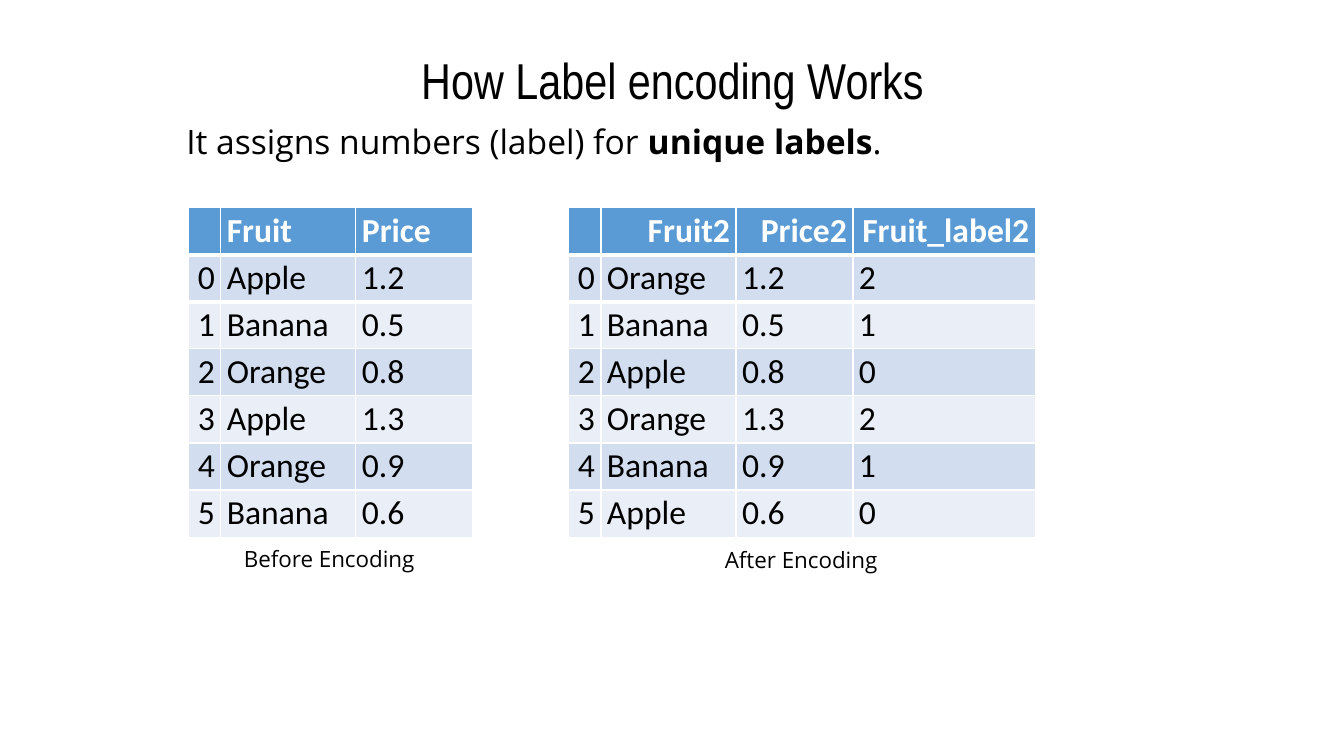
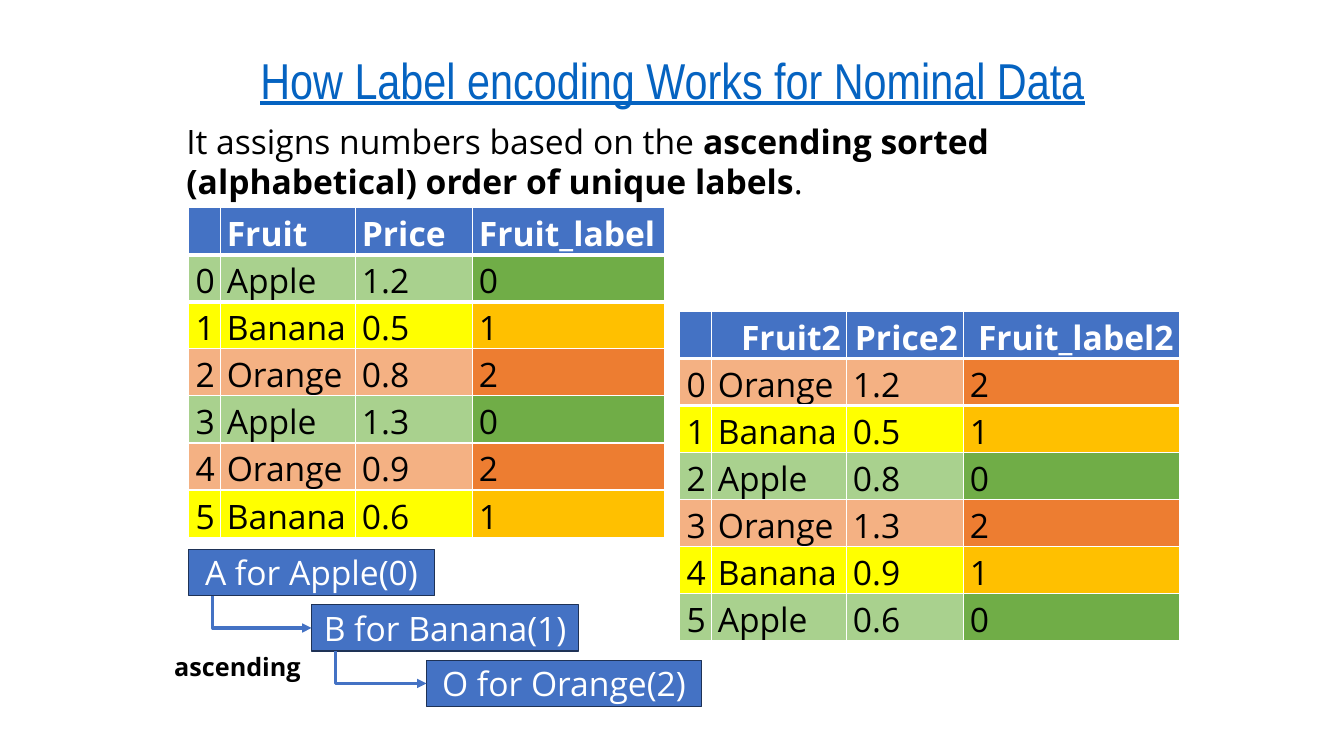
from lxml.etree import Element, SubElement
from pptx import Presentation
from pptx.dml.color import RGBColor
from pptx.enum.shapes import MSO_CONNECTOR as CONN, MSO_SHAPE as SHAPE
from pptx.enum.text import MSO_ANCHOR as ANCHOR, MSO_AUTO_SIZE as AUTO, PP_ALIGN as ALIGN
from pptx.oxml.ns import qn
from pptx.util import Inches, Pt

BLACK, WHITE, BLUE, NAVY = "000000", "FFFFFF", "4472C4", "1E3256"
SKY, LINK = "5B9BD5", "0563C1"
BANDS = ["D2DEEF", "EAEFF7"]
FRUIT_FILLS = {
    "Apple": ("A9D18E", "70AD47"),
    "Banana": ("FFFF00", "FFC000"),
    "Orange": ("F4B183", "ED7D31"),
}
BODY, HEAD, GRID = "Open Sans", "Arial Narrow", "Calibri"
LEFT, WIDTH = 1.75, 9.84
TABLE_LEFT, TABLE_TOP, TABLE_HEIGHT = 1.87, 2.06, 3.27
COLS = [0.32, 1.34, 1.16]
PRICES = ["1.2", "0.5", "0.8", "1.3", "0.9", "0.6"]
LABELS = {"Apple": "0", "Banana": "1", "Orange": "2"}
BEFORE = ["Apple", "Banana", "Orange", "Apple", "Orange", "Banana"]
AFTER = ["Orange", "Banana", "Apple"] * 2
CELL_FORMAT = {"margin_left": Inches(0.06), "margin_right": Inches(0.06),
               "margin_top": Inches(0.03), "margin_bottom": Inches(0.03),
               "vertical_anchor": ANCHOR.MIDDLE}


def color(value):
    return RGBColor.from_string(value)


def apply(obj, values):
    for name, value in values.items():
        setattr(obj, name, value)


def fill_with(obj, value):
    obj.fill.solid()
    obj.fill.fore_color.rgb = color(value)


def write(tf, runs, size, font=BODY, rgb=BLACK, align=ALIGN.LEFT, **extra):
    p = tf.paragraphs[0]
    p.alignment = align
    for text, bold in runs:
        r = p.add_run()
        r.text = text
        apply(r.font, {"size": Pt(size), "name": font, "bold": bold, **extra})
        r.font.color.rgb = color(rgb)


def add_text(s, box, runs, size, wrap=True):
    tf = s.shapes.add_textbox(*map(Inches, box)).text_frame
    apply(tf, {"word_wrap": wrap, "auto_size": AUTO.SHAPE_TO_FIT_TEXT})
    write(tf, runs, size)


def add_slide(prs, title, intro, intro_height, **title_format):
    s = prs.slides.add_slide(prs.slide_layouts[5])
    sp = s.shapes.title
    box = map(Inches, (LEFT, 0.44, WIDTH, 0.71))
    apply(sp, dict(zip(("left", "top", "width", "height"), box)))
    apply(sp.text_frame, {"word_wrap": True, "auto_size": AUTO.NONE,
                          "vertical_anchor": ANCHOR.TOP})
    write(sp.text_frame, [(title, False)], 36, HEAD, align=ALIGN.CENTER, **title_format)
    add_text(s, (LEFT, 1.15, WIDTH, intro_height), intro, 24)
    return s


def fruit_rows(header, fruits):
    rows = [["", *header]]
    for i, (fruit, price) in enumerate(zip(fruits, PRICES)):
        rows.append([str(i), fruit, price, LABELS[fruit]][:len(header) + 1])
    return rows


def band_fill(i, row, j):
    return BANDS[(i - 1) % 2]


def fruit_fill(i, row, j):
    return FRUIT_FILLS[row[1]][j == 3]


def add_border(cell, side, width):
    ln = Element(qn(f"a:{side}"), w=str(Pt(width)))
    SubElement(SubElement(ln, qn("a:solidFill")), qn("a:srgbClr"), val=WHITE)
    cell._tc.get_or_add_tcPr().insert(0, ln)


def add_fruit_table(s, left, top, widths, rows, head_fill, body_fill, font,
                    head_align=ALIGN.LEFT):
    frame = s.shapes.add_table(len(rows), len(widths), Inches(left), Inches(top),
                               Inches(sum(widths)), Inches(TABLE_HEIGHT))
    table = frame.table
    for column, width in zip(table.columns, widths):
        column.width = Inches(width)
    for i, row in enumerate(rows):
        for j, text in enumerate(row):
            cell = table.cell(i, j)
            apply(cell, CELL_FORMAT)
            fill_with(cell, body_fill(i, row, j) if i else head_fill)
            if i < 2:
                add_border(cell, "lnT" if i else "lnB", 3)
            if text:
                align = head_align if i == 0 else ALIGN.LEFT if j else ALIGN.RIGHT
                write(cell.text_frame, [(text, i == 0)], 24, font,
                      BLACK if i else WHITE, align)


def add_step(s, left, top, width, height, text):
    sp = s.shapes.add_shape(SHAPE.RECTANGLE, *map(Inches, (left, top, width, height)))
    sp.shadow.inherit = False
    fill_with(sp, BLUE)
    sp.line.color.rgb = color(NAVY)
    sp.line.width = Pt(1)
    apply(sp.text_frame, {"word_wrap": True, "vertical_anchor": ANCHOR.MIDDLE})
    write(sp.text_frame, [(text, False)], 24, rgb=WHITE, align=ALIGN.CENTER)


def add_elbow(s, x1, y1, x2, y2):
    line = s.shapes.add_connector(CONN.ELBOW, *map(Inches, (x1, y1, x2, y2)))
    line.line.color.rgb = color(BLUE)
    line.line.width = Pt(2.25)
    props = line._element.spPr
    guides = props.find(qn("a:prstGeom")).get_or_add_avLst()
    SubElement(guides, qn("a:gd"), name="adj1", fmla="val 0")
    SubElement(props.find(qn("a:ln")), qn("a:tailEnd"), type="triangle")
    SubElement(props, qn("a:effectLst"))


def add_staircase(s, left, top):
    steps = [(0, 2.44, "A for Apple(0)"), (1.22, 2.65, "B for Banana(1)"),
             (2.36, 2.73, "O for Orange(2)")]
    pitch, height = 0.55, 0.46
    for i, (dx, width, text) in enumerate(steps):
        y = top + i * pitch
        add_step(s, left + dx, y, width, height, text)
        if i:
            add_elbow(s, left + steps[i - 1][0] + 0.24, y - pitch + height,
                      left + dx, y + height / 2)
    add_text(s, (left - 0.24, top + 0.96, 1.46, 0.4), [("ascending", True)], 18)


def overview_slide(prs):
    s = add_slide(prs, "How Label encoding Works",
                  [("It assigns numbers (label) for ", False),
                   ("unique labels", True), (".", False)], 0.5)
    add_fruit_table(s, TABLE_LEFT, TABLE_TOP, COLS,
                    fruit_rows(["Fruit", "Price"], BEFORE), SKY, band_fill, GRID)
    add_fruit_table(s, 5.64, TABLE_TOP, COLS + [1.81],
                    fruit_rows(["Fruit2", "Price2", "Fruit_label2"], AFTER),
                    SKY, band_fill, GRID, ALIGN.RIGHT)
    add_text(s, (2.32, 5.36, 1.91, 0.37), [("Before Encoding", False)], 16, False)
    add_text(s, (7.09, 5.37, 1.73, 0.37), [("After Encoding", False)], 16, False)


def nominal_slide(prs):
    s = add_slide(prs, "How Label encoding Works for Nominal Data",
                  [("It assigns numbers based on the ", False),
                   ("ascending sorted (alphabetical) order of unique labels", True),
                   (".", False)], 0.91, rgb=LINK, underline=True)
    add_fruit_table(s, TABLE_LEFT, TABLE_TOP, COLS + [1.9],
                    fruit_rows(["Fruit", "Price", "Fruit_label"], BEFORE),
                    BLUE, fruit_fill, BODY)
    add_fruit_table(s, 6.74, 3.09, COLS + [2.14],
                    fruit_rows(["Fruit2", "Price2", "Fruit_label2"], AFTER),
                    BLUE, fruit_fill, BODY, ALIGN.RIGHT)
    add_staircase(s, TABLE_LEFT, 5.45)


def main():
    prs = Presentation()
    apply(prs, {"slide_width": Inches(13.33), "slide_height": Inches(7.5)})
    overview_slide(prs)
    nominal_slide(prs)
    prs.save("out.pptx")


if __name__ == "__main__":
    main()
